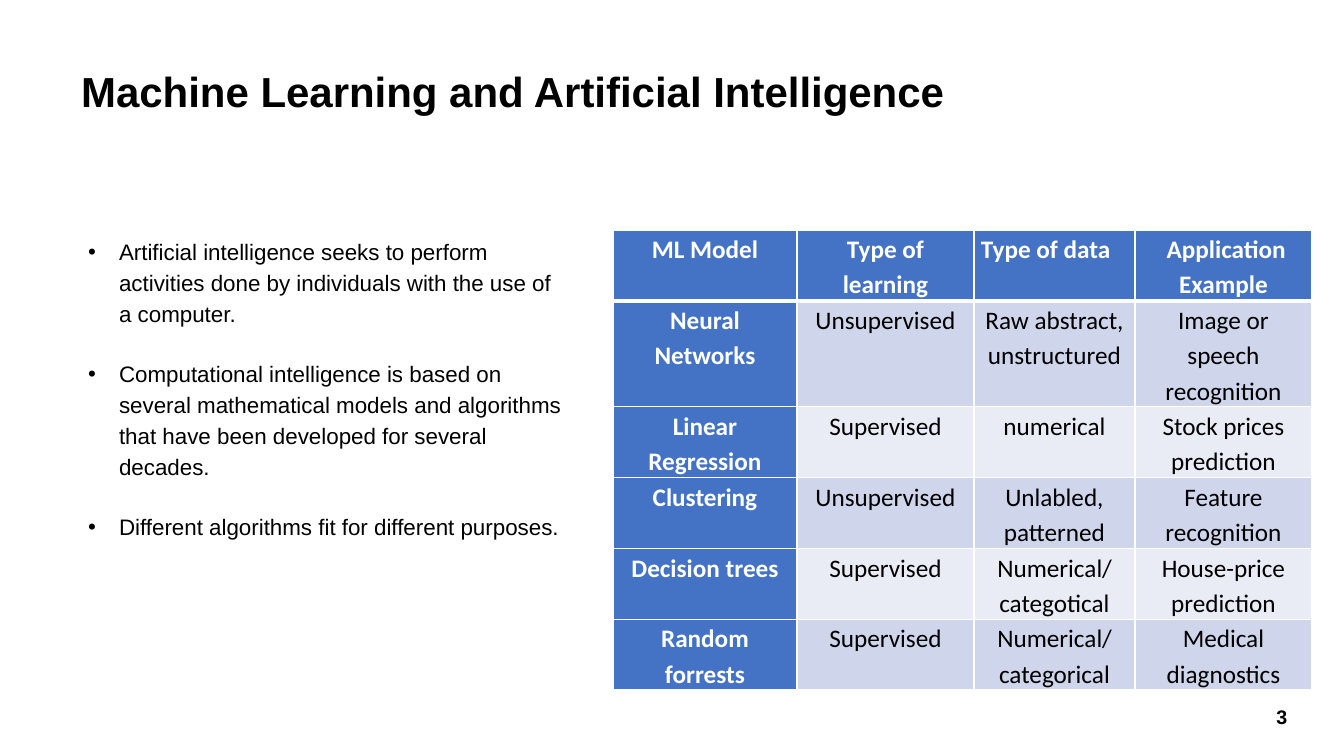
"""Build the slide comparing machine learning models."""
from lxml.etree import SubElement
from pptx import Presentation
from pptx.dml.color import RGBColor
from pptx.enum.text import MSO_ANCHOR, MSO_AUTO_SIZE, PP_ALIGN as ALIGN
from pptx.oxml.ns import qn
from pptx.util import Pt

PX = 914400 / 100.8
BLACK = RGBColor(0x00, 0x00, 0x00)
WHITE = RGBColor(0xFF, 0xFF, 0xFF)
BLUE = RGBColor(0x44, 0x72, 0xC4)
BANDS = [RGBColor(0xE9, 0xEB, 0xF5), RGBColor(0xCF, 0xD5, 0xEA)]

BULLETS = [
    "Artificial intelligence seeks to perform activities done by individuals with the use of a computer.",
    "Computational intelligence is based on several mathematical models and algorithms "
    "that have been developed for several decades.",
    "Different algorithms fit for different purposes.",
]
MODELS = [
    ["ML Model", "Type of learning", "Type of data", " Application Example"],
    ["Neural Networks", "Unsupervised", "Raw abstract, unstructured", "Image or speech recognition"],
    ["Linear Regression", "Supervised", "numerical", "Stock prices prediction"],
    ["Clustering", "Unsupervised", "Unlabled, patterned", "Feature recognition"],
    ["Decision trees", "Supervised", "Numerical/categotical", "House-price prediction"],
    ["Random forrests", "Supervised", "Numerical/categorical", "Medical diagnostics"],
]
COL_WIDTHS = [184, 177, 161, 177]
ROW_HEIGHTS = [70, 105, 70, 70, 70, 70]


def px(*lengths):
    return [round(n * PX) for n in lengths]


def write(p, text, font, **layout):
    r = p.add_run()
    r.text = text
    color = font.pop("color")
    for name, value in font.items():
        setattr(r.font, name, value)
    r.font.color.rgb = color
    for name, value in layout.items():
        setattr(p, name, value)


prs = Presentation()
prs.slide_width, prs.slide_height = px(1344, 756)
s = prs.slides.add_slide(prs.slide_layouts[1])
title, body = s.placeholders
number = s.shapes.add_textbox(*px(1231, 692, 102, 41))

for sp, box, anchor in [
    (title, (71, 66, 990, 57), MSO_ANCHOR.TOP),
    (body, (78, 229, 500, 348), MSO_ANCHOR.TOP),
    (number, (1231, 692, 102, 41), MSO_ANCHOR.BOTTOM),
]:
    sp.left, sp.top, sp.width, sp.height = px(*box)
    tf = sp.text_frame
    tf.word_wrap = True
    tf.auto_size = MSO_AUTO_SIZE.NONE
    tf.vertical_anchor = anchor

write(title.text_frame.paragraphs[0], "Machine Learning and Artificial Intelligence",
      dict(name="Arial", size=Pt(30), bold=True, color=BLACK),
      alignment=ALIGN.LEFT, line_spacing=0.9, space_before=Pt(10))
write(number.text_frame.paragraphs[0], "3",
      dict(name="Arial", size=Pt(14), bold=True, color=BLACK), alignment=ALIGN.CENTER)

tf = body.text_frame
for i, text in enumerate(BULLETS):
    p = tf.add_paragraph() if i else tf.paragraphs[0]
    write(p, text, dict(name="Arial", size=Pt(16), color=BLACK),
          line_spacing=1.15, space_before=Pt(21 if i else 0))
    indent, = px(31)
    pPr = p._p.get_or_add_pPr()
    pPr.set("marL", str(indent))
    pPr.set("indent", str(-indent))
    SubElement(pPr, qn("a:buFont"), typeface="Arial")
    SubElement(pPr, qn("a:buChar"), char="•")

frame = s.shapes.add_table(len(MODELS), len(COL_WIDTHS),
                           *px(613, 230, sum(COL_WIDTHS), sum(ROW_HEIGHTS)))
table = frame.table
for column, width in zip(table.columns, px(*COL_WIDTHS)):
    column.width = width
for row, height in zip(table.rows, px(*ROW_HEIGHTS)):
    row.height = height

for i, row in enumerate(MODELS):
    for j, text in enumerate(row):
        cell = table.cell(i, j)
        heading = i == 0 or j == 0
        cell.margin_left, cell.margin_right, cell.margin_top, cell.margin_bottom = px(7, 7, 0, 0)
        for side in "LRTB":
            thick = (i, side) in [(0, "B"), (1, "T")]
            ln = SubElement(cell._tc.get_or_add_tcPr(), qn(f"a:ln{side}"), w=str(Pt(3 if thick else 1)))
            SubElement(SubElement(ln, qn("a:solidFill")), qn("a:srgbClr"), val=str(WHITE))
        cell.fill.solid()
        cell.fill.fore_color.rgb = BLUE if heading else BANDS[i % 2]
        write(cell.text_frame.paragraphs[0], text,
              dict(name="Calibri", size=Pt(18), bold=heading, color=WHITE if heading else BLACK),
              alignment=ALIGN.JUSTIFY if (i, j) == (0, 2) else ALIGN.CENTER,
              line_spacing=1.15, space_before=Pt(10))

prs.save("out.pptx")
